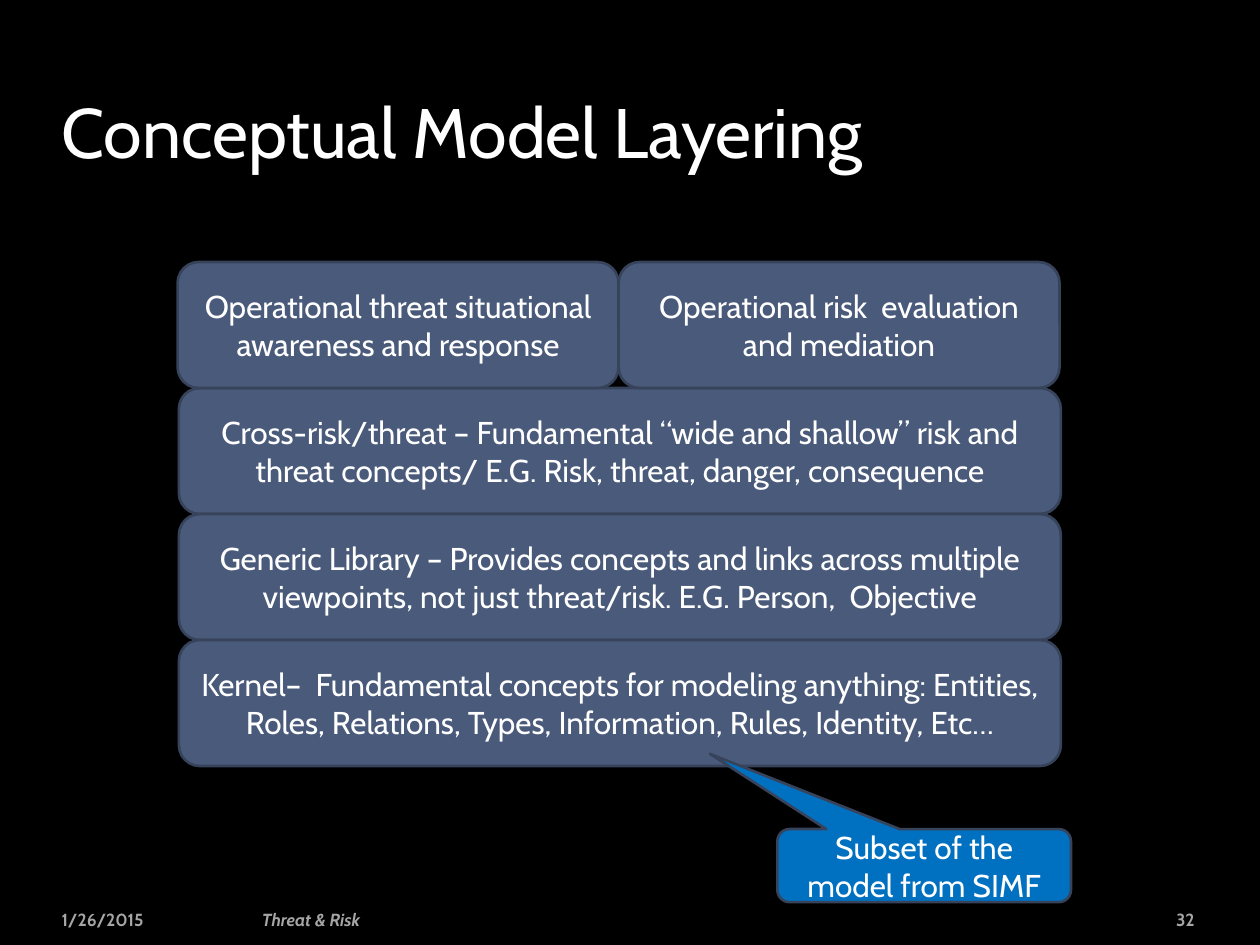
"""Build the slide on the layers of the conceptual model."""
from pptx import Presentation
from pptx.dml.color import RGBColor
from pptx.enum.shapes import MSO_SHAPE
from pptx.enum.text import MSO_ANCHOR, PP_ALIGN
from pptx.util import Inches, Pt

BLACK = RGBColor(0x00, 0x00, 0x00)
WHITE = RGBColor(0xFF, 0xFF, 0xFF)
GRAY = RGBColor(0xA6, 0xA6, 0xA6)
SLATE = RGBColor(0x4A, 0x5A, 0x7A)
EDGE = RGBColor(0x37, 0x43, 0x5A)
BLUE = RGBColor(0x00, 0x70, 0xC0)
ROUND = MSO_SHAPE.ROUNDED_RECTANGLE
CALLOUT = MSO_SHAPE.ROUNDED_RECTANGULAR_CALLOUT
MIDDLE, BOTTOM = MSO_ANCHOR.MIDDLE, MSO_ANCHOR.BOTTOM
LEFT, CENTER, RIGHT = PP_ALIGN.LEFT, PP_ALIGN.CENTER, PP_ALIGN.RIGHT


def write(shape, text, size, color, align, anchor=MIDDLE):
    frame = shape.text_frame
    frame.word_wrap = True
    frame.vertical_anchor = anchor
    para = frame.paragraphs[0]
    para.alignment = align
    run = para.add_run()
    run.text = text
    run.font.name = "Cabin"
    run.font.size = Pt(size)
    run.font.color.rgb = color
    return run


def add_box(kind, left, top, width, height, fill, text):
    box = slide.shapes.add_shape(
        kind, Inches(left), Inches(top), Inches(width), Inches(height))
    box.shadow.inherit = False
    box.fill.solid()
    box.fill.fore_color.rgb = fill
    box.line.color.rgb = EDGE
    box.line.width = Pt(1.5)
    write(box, text, 18, WHITE, CENTER)
    return box


deck = Presentation()
deck.slide_width = Inches(10)
deck.slide_height = Inches(7.5)
slide = deck.slides.add_slide(deck.slide_layouts[6])
slide.background.fill.solid()
slide.background.fill.fore_color.rgb = BLACK

title = slide.shapes.add_textbox(
    Inches(0.39), Inches(0.25), Inches(8.4), Inches(1.17))
write(title, "Conceptual Model Layering", 40, WHITE, LEFT, BOTTOM)

footers = [
    (0.39, 1.6, "1/26/2015", LEFT, False),
    (1.98, 4.47, "Threat & Risk", LEFT, True),
    (8.62, 0.96, "32", RIGHT, False),
]
for left, width, text, align, slant in footers:
    foot = slide.shapes.add_textbox(
        Inches(left), Inches(7.16), Inches(width), Inches(0.27))
    run = write(foot, text, 10, GRAY, align)
    run.font.bold = True
    run.font.italic = slant

layers = [
    "Cross-risk/threat – Fundamental “wide and shallow” risk and threat "
    "concepts/ E.G. Risk, threat, danger, consequence",
    "Generic Library – Provides concepts and links across multiple "
    "viewpoints, not just threat/risk. E.G. Person,  Objective",
    "Kernel–  Fundamental concepts for modeling anything: Entities, Roles, "
    "Relations, Types, Information, Rules, Identity, Etc…",
]
for row, text in enumerate(layers, 1):
    add_box(ROUND, 1.42, 2.08 + row, 7, 1, SLATE, text)

tops = [
    "Operational threat situational awareness and response",
    "Operational risk  evaluation and mediation",
]
for col, text in enumerate(tops):
    add_box(ROUND, 1.41 + 3.5 * col, 2.08, 3.5, 1, SLATE, text)

note = add_box(CALLOUT, 6.17, 6.58, 2.33, 0.58, BLUE,
               "Subset of the model from SIMF")
note.adjustments[0] = -0.73
note.adjustments[1] = -1.53

deck.save("out.pptx")
